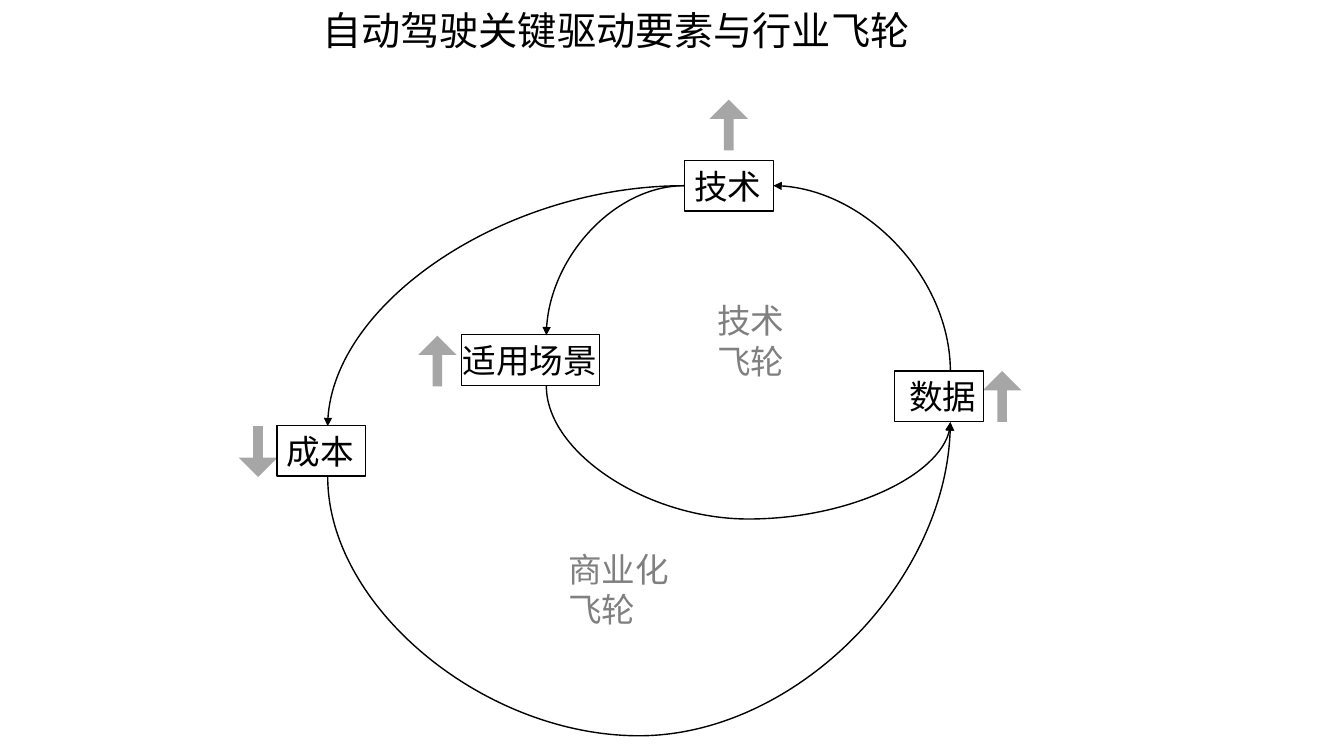
from lxml import etree
from pptx import Presentation
from pptx.dml.color import RGBColor
from pptx.enum.shapes import MSO_CONNECTOR, MSO_SHAPE
from pptx.enum.text import MSO_ANCHOR, MSO_AUTO_SIZE, PP_ALIGN
from pptx.oxml.ns import qn
from pptx.util import Cm, Pt

CURVE = MSO_CONNECTOR.CURVE
RECTANGLE, UP, DOWN = MSO_SHAPE.RECTANGLE, MSO_SHAPE.UP_ARROW, MSO_SHAPE.DOWN_ARROW
LEFT, TOP, NO_FIT = PP_ALIGN.LEFT, MSO_ANCHOR.TOP, MSO_AUTO_SIZE.NONE

FONT = "Noto Sans CJK TC"
BLACK, GREY, ARROW_GREY = "000000", "808080", "A6A6A6"
BOX_HEIGHT = 1.28
ARROW_WIDTH = 0.97

# All lengths are in centimetres.
TITLE = ("自动驾驶关键驱动要素与行业飞轮", 7.87, 0.03, 18.11, 1.45)
# text, left, top, width, left inset
FACTORS = [
    ("技术", 17.25, 4.04, 2.24, 0.25),
    ("适用场景", 11.63, 8.43, 3.48, 0.03),
    ("数据", 22.55, 9.35, 2.24, 0.36),
    ("成本", 6.98, 10.72, 2.24, 0.25),
]
# text, left, top, width, height
FLYWHEELS = [
    ("技术飞轮", 17.83, 7.44, 2.77, 2.31),
    ("商业化飞轮", 14.07, 13.69, 3.76, 2.31),
]
# direction, left, top
TRENDS = [
    (DOWN, 6.02, 10.74),
    (UP, 17.88, 2.51),
    (UP, 24.77, 9.35),
    (UP, 10.54, 8.46),
]
TECH_LEFT, TECH_RIGHT = (17.25, 4.68), (19.49, 4.68)
SCENE_TOP, SCENE_BOTTOM = (13.77, 8.45), (13.77, 9.73)
DATA_TOP, DATA_BOTTOM = (23.95, 9.36), (23.95, 10.64)
COST_TOP, COST_BOTTOM = (8.26, 10.74), (8.26, 12.02)
# start, end, starts vertically, lowest point of the arc
FLOWS = [
    (TECH_LEFT, SCENE_TOP, False, None),
    (SCENE_BOTTOM, DATA_BOTTOM, True, 13.08),
    (DATA_TOP, TECH_RIGHT, True, None),
    (TECH_LEFT, COST_TOP, False, None),
    (COST_BOTTOM, DATA_BOTTOM, True, 18.54),
]


def color(value):
    return RGBColor.from_string(value)


def write(shape, text, size=24, font_color=BLACK, inset=0.25, wrap=True):
    frame = shape.text_frame
    frame.auto_size = NO_FIT
    frame.word_wrap = wrap
    frame.vertical_anchor = TOP
    frame.margin_left, frame.margin_right = Cm(inset), Cm(0.25)
    frame.margin_top = frame.margin_bottom = Cm(0.13)
    paragraph = frame.paragraphs[0]
    paragraph.alignment = LEFT
    run = paragraph.add_run()
    run.text = text
    run.font.name = FONT
    run.font.size = Pt(size)
    run.font.color.rgb = color(font_color)
    etree.SubElement(run.font._element, qn("a:ea"), typeface=FONT)


def add_flow(slide, start, end, vertical, lowest):
    """Add a curved arrow; a vertical start needs a frame turned by 270 degrees."""
    (x1, y1), (x2, y2) = start, end
    connector = slide.shapes.add_connector(CURVE, Cm(x1), Cm(y1), Cm(x2), Cm(y2))
    properties = connector._element.spPr
    if vertical:
        width, height = abs(y2 - y1), abs(x2 - x1)
        connector.left = Cm((x1 + x2 - width) / 2)
        connector.top = Cm((y1 + y2 - height) / 2)
        connector.width, connector.height = Cm(width), Cm(height)
        frame = properties.find(qn("a:xfrm"))
        frame.set("rot", str(270 * 60000))
        frame.set("flipH", str(int(y2 > y1)))
        frame.set("flipV", str(int(x2 < x1)))
    geometry = properties.find(qn("a:prstGeom"))
    if lowest is None:
        geometry.set("prst", "curvedConnector2")
    else:
        bend = round((lowest - y1) / (y2 - y1) * 100000)
        guides = geometry.find(qn("a:avLst"))
        etree.SubElement(guides, qn("a:gd"), name="adj1", fmla=f"val {bend}")
    connector.line.color.rgb = color(BLACK)
    connector.line.width = Pt(1)
    etree.SubElement(properties.find(qn("a:ln")), qn("a:tailEnd"), type="triangle")
    etree.SubElement(properties, qn("a:effectLst"))


def main():
    presentation = Presentation()
    presentation.slide_width, presentation.slide_height = Cm(33.87), Cm(19.05)
    slide = presentation.slides.add_slide(presentation.slide_layouts[5])

    text, *place = TITLE
    title = slide.shapes.title
    title.left, title.top, title.width, title.height = map(Cm, place)
    write(title, text, size=28)

    for flow in FLOWS:
        add_flow(slide, *flow)

    for text, *place in FLYWHEELS:
        write(slide.shapes.add_textbox(*map(Cm, place)), text, font_color=GREY)

    for direction, left, top in TRENDS:
        arrow = slide.shapes.add_shape(
            direction, Cm(left), Cm(top), Cm(ARROW_WIDTH), Cm(BOX_HEIGHT))
        arrow.adjustments[0], arrow.adjustments[1] = 0.25, 0.5
        arrow.shadow.inherit = False
        arrow.fill.solid()
        arrow.fill.fore_color.rgb = color(ARROW_GREY)
        arrow.line.fill.background()

    for text, left, top, width, inset in FACTORS:
        box = slide.shapes.add_shape(
            RECTANGLE, Cm(left), Cm(top), Cm(width), Cm(BOX_HEIGHT))
        box.shadow.inherit = False
        box.fill.background()
        box.line.color.rgb = color(BLACK)
        box.line.width = Pt(1)
        write(box, text, inset=inset, wrap=False)

    presentation.save("out.pptx")


if __name__ == "__main__":
    main()
